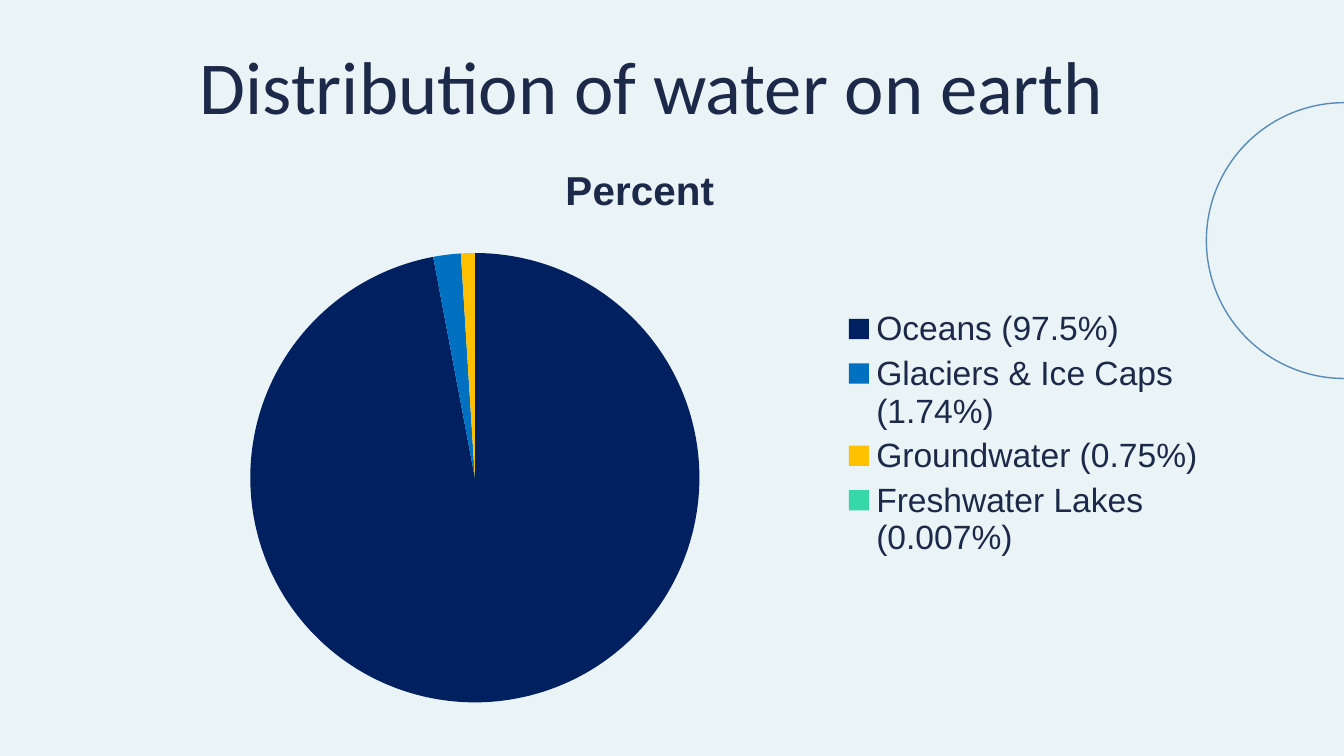
from dataclasses import dataclass

from lxml import etree
from pptx import Presentation
from pptx import util as u
from pptx.chart.data import CategoryChartData
from pptx.dml.color import RGBColor
from pptx.enum import chart as ch
from pptx.enum import shapes, text
from pptx.oxml.ns import qn


@dataclass(frozen=True)
class Theme:
    background: str = "EAF3F5"
    ink: str = "1C2949"
    ring: str = "578AB8"
    title_font: str = "Calibri"
    chart_font: str = "Arial"
    title_size: float = 40
    heading_size: float = 21.6
    legend_size: float = 18


@dataclass(frozen=True)
class Source:
    name: str
    percent: int
    color: str


THEME = Theme()
CHART_WIDTH, CHART_HEIGHT = 20.96, 10.85
SOURCES = [
    Source("Oceans (97.5%)", 98, "002060"),
    Source("Glaciers & Ice Caps (1.74%)", 2, "0070C0"),
    Source("Groundwater (0.75%)", 1, "FFC000"),
    Source("Freshwater Lakes (0.007%)", 0, "36D8A7"),
]


def style_font(font, name: str, size: float, bold: bool = False) -> None:
    font.name = name
    font.size = u.Pt(size)
    font.bold = bold
    font.color.rgb = RGBColor.from_string(THEME.ink)


def add_ring(page) -> None:
    ring = page.shapes.add_shape(
        shapes.MSO_SHAPE.OVAL, u.Cm(22.8), u.Cm(1.94), u.Cm(5.21), u.Cm(5.21))
    ring.shadow.inherit = False
    ring.fill.background()
    ring.line.color.rgb = RGBColor.from_string(THEME.ring)
    ring.line.width = u.Pt(0.75)


def set_title(page, wording: str) -> None:
    title = page.shapes.title
    title.left, title.top = u.Cm(2.94), u.Cm(0.56)
    title.width, title.height = u.Cm(18.75), u.Cm(2.06)
    frame = title.text_frame
    frame.text = wording
    frame.word_wrap = True
    frame.vertical_anchor = text.MSO_ANCHOR.MIDDLE
    frame.margin_left = frame.margin_right = u.Cm(0.25)
    frame.margin_top = frame.margin_bottom = u.Cm(0.25)
    para = frame.paragraphs[0]
    para.alignment = text.PP_ALIGN.CENTER
    style_font(para.runs[0].font, THEME.title_font, THEME.title_size)


def place_part(part, before: str, **lengths: float) -> None:
    """Place a chart part by centimetres from the chart's top left corner."""
    for old in part.findall(qn("c:layout")):
        part.remove(old)
    layout = etree.Element(qn("c:layout"))
    part.find(qn(before)).addprevious(layout)
    manual = etree.SubElement(layout, qn("c:manualLayout"))
    if before == "c:pieChart":
        etree.SubElement(manual, qn("c:layoutTarget"), val="inner")
    for axis in "xy":
        etree.SubElement(manual, qn(f"c:{axis}Mode"), val="edge")
    for key, length in lengths.items():
        whole = CHART_WIDTH if key in "xw" else CHART_HEIGHT
        etree.SubElement(manual, qn(f"c:{key}"), val=str(length / whole))


def add_water_chart(page) -> None:
    data = CategoryChartData()
    data.categories = [source.name for source in SOURCES]
    data.add_series("Percent", [source.percent for source in SOURCES])
    chart = page.shapes.add_chart(
        ch.XL_CHART_TYPE.PIE, u.Cm(2.11), u.Cm(2.77),
        u.Cm(CHART_WIDTH), u.Cm(CHART_HEIGHT), data).chart
    style_font(chart.font, THEME.chart_font, THEME.legend_size)

    heading = chart.chart_title
    heading.text_frame.text = "Percent"
    span = heading.text_frame.paragraphs[0].runs[0]
    style_font(span.font, THEME.chart_font, THEME.heading_size, bold=True)
    title_part = chart._chartSpace.chart.find(qn("c:title"))
    title_part.find(qn("c:overlay")).set("val", "1")
    place_part(title_part, "c:overlay", x=8.44, y=0.19)

    chart.has_legend = True
    legend = chart.legend
    legend.position = ch.XL_LEGEND_POSITION.RIGHT
    legend.include_in_layout = True
    style_font(legend.font, THEME.chart_font, THEME.legend_size)
    place_part(chart._chartSpace.chart.find(qn("c:legend")), "c:overlay",
               x=13.77, y=2.96, w=6.92, h=4.92)

    plot = chart.plots[0]
    plot.vary_by_categories = True
    for index, source in enumerate(SOURCES):
        wedge = plot.series[0].points[index].format
        wedge.fill.solid()
        wedge.fill.fore_color.rgb = RGBColor.from_string(source.color)
        wedge.line.fill.background()
    place_part(chart._chartSpace.chart.plotArea, "c:pieChart",
               x=2.62, y=2.01, w=8.49, h=8.49)


def main() -> None:
    deck = Presentation()
    deck.slide_width, deck.slide_height = u.Cm(25.4), u.Cm(14.28)
    page = deck.slides.add_slide(deck.slide_layouts[5])
    page.background.fill.solid()
    page.background.fill.fore_color.rgb = RGBColor.from_string(THEME.background)
    add_ring(page)
    set_title(page, "Distribution of water on earth")
    add_water_chart(page)
    deck.save("out.pptx")


if __name__ == "__main__":
    main()
